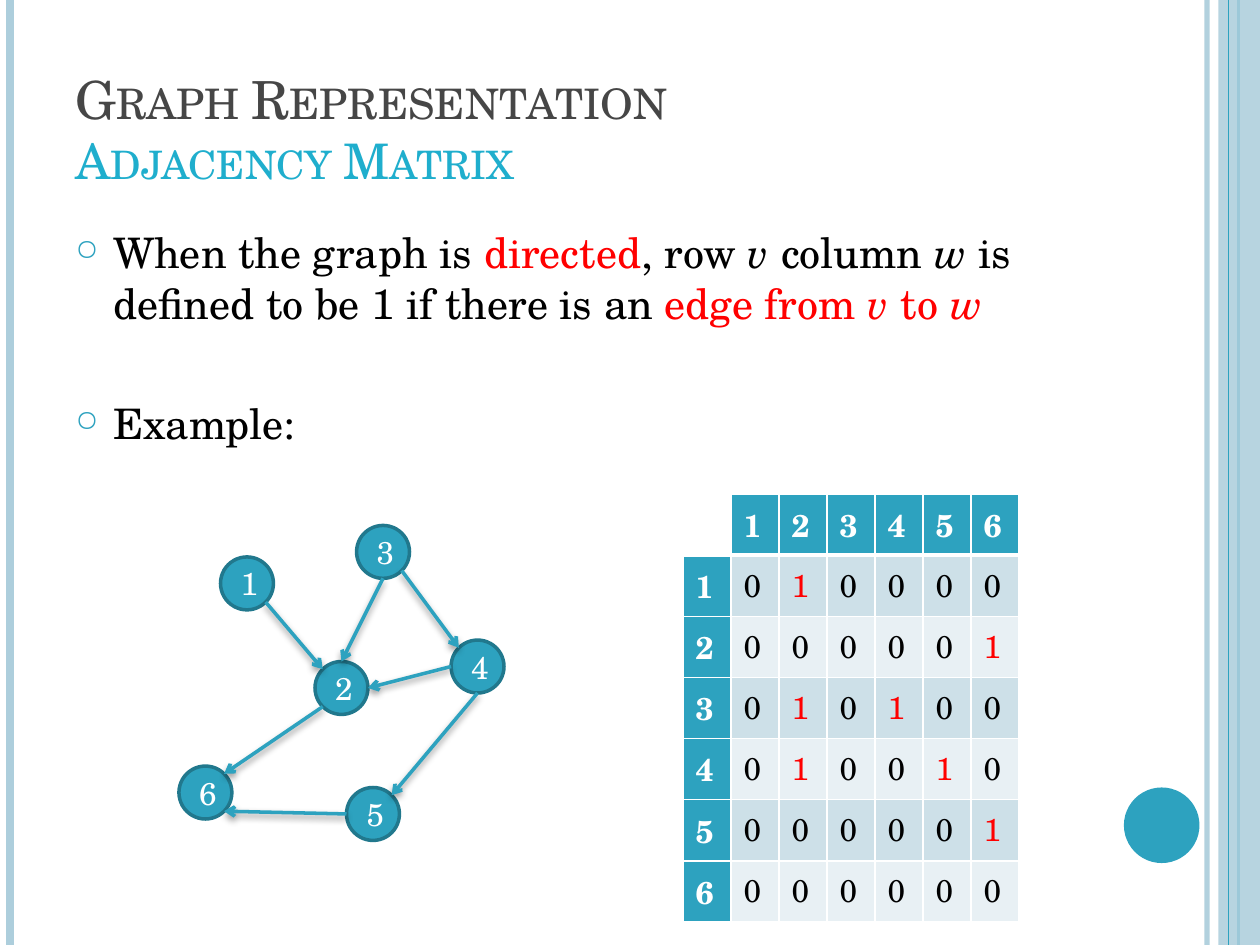
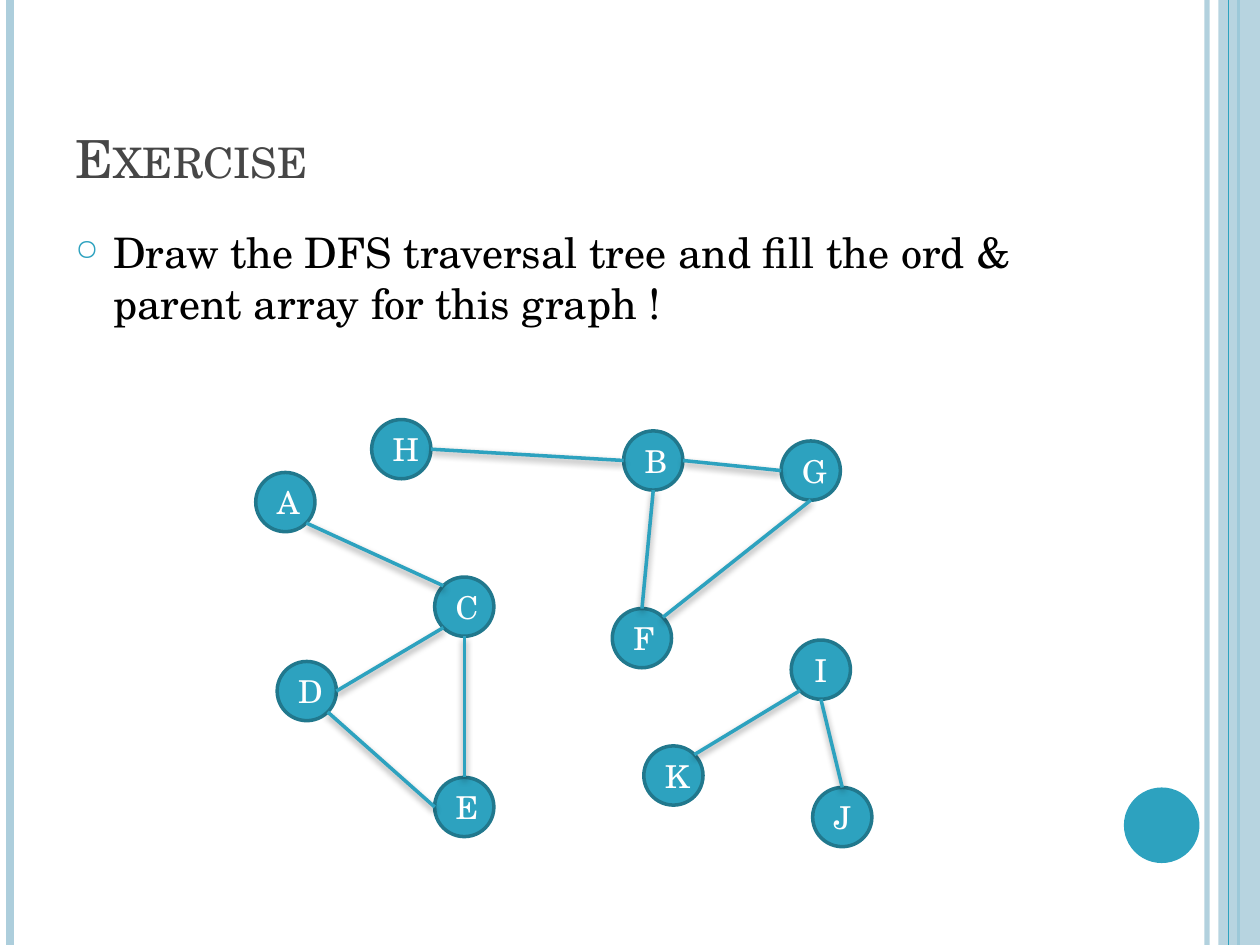
from math import cos, radians, sin

from lxml.etree import SubElement
from pptx import Presentation
from pptx.dml.color import RGBColor
from pptx.enum.shapes import MSO_CONNECTOR, MSO_SHAPE
from pptx.enum.text import MSO_ANCHOR, PP_ALIGN
from pptx.oxml.ns import qn
from pptx.util import Inches, Pt

# Colours and font
TEAL = RGBColor(0x2D, 0xA2, 0xBF)
DEEP = RGBColor(0x21, 0x78, 0x8D)
PALE = RGBColor(0xAD, 0xCE, 0xDC)
SKY = RGBColor(0x1F, 0xAE, 0xCD)
GREY = RGBColor(0x46, 0x46, 0x46)
ODD = RGBColor(0xCD, 0xE0, 0xE8)
EVEN = RGBColor(0xE8, 0xF0, 0xF4)
RED = RGBColor(0xFF, 0x00, 0x00)
BLACK = RGBColor(0x00, 0x00, 0x00)
WHITE = RGBColor(0xFF, 0xFF, 0xFF)
FONT = "TeX Gyre Schola"

# Directions on a node's rim, clockwise from east in degrees
RIM = {"E": 0, "SE": 45, "S": 90, "SW": 135,
       "W": 180, "NW": 225, "N": 270, "NE": 315}

# Directed graph: node corners, then edges as (from, side, to, side)
ARC_SIZE = 0.42
ARC_NODES = {"1": (1.75, 4.42), "2": (2.5, 5.25), "3": (2.83, 4.17),
             "4": (3.58, 5.08), "5": (2.75, 6.25), "6": (1.42, 6.08)}
ARCS = [("1", "SE", "2", "NW"), ("3", "S", "2", "N"),
        ("2", "SW", "6", "NE"), ("4", "W", "2", "E"),
        ("3", "SE", "4", "NW"), ("5", "W", "6", "SE"),
        ("4", "S", "5", "NE")]

# Undirected graph of the exercise
TREE_SIZE = 0.47
TREE_NODES = {"A": (2.03, 3.75), "B": (4.95, 3.42), "C": (3.45, 4.58),
              "D": (2.2, 5.25), "E": (3.45, 6.17), "F": (4.86, 4.83),
              "G": (6.2, 3.5), "H": (2.95, 3.33), "I": (6.28, 5.08),
              "J": (6.45, 6.25), "K": (5.11, 5.92)}
LINKS = [("D", "SE", "E", "W"), ("K", "NE", "I", "SW"),
         ("A", "SE", "C", "NW"), ("D", "E", "C", "SW"),
         ("E", "N", "C", "S"), ("H", "E", "B", "W"),
         ("G", "W", "B", "E"), ("F", "N", "B", "S"),
         ("F", "NE", "G", "S"), ("J", "N", "I", "S")]


def add_tag(parent, name, **attrs):
    return SubElement(parent, qn(name), attrs)


def add_run(para, text, size, color, bold=False, slant=False, caps=False):
    run = para.add_run()
    run.text = text
    font = run.font
    font.name, font.size = FONT, Pt(size)
    font.bold, font.italic = bold, slant
    font.color.rgb = color
    if caps:
        font._element.set("cap", "small")


def set_alpha(shape, percent):
    for color in shape.element.spPr.iter(qn("a:srgbClr")):
        add_tag(color, "a:alpha", val=str(percent * 1000))


def add_line(shapes, start, end, color, width):
    ends = [Inches(v) for v in (*start, *end)]
    line = shapes.add_connector(MSO_CONNECTOR.STRAIGHT, *ends)
    line.line.color.rgb = color
    line.line.width = Pt(width)
    add_tag(line.element.spPr, "a:effectLst")
    return line


def add_solid(shapes, kind, box, color):
    shape = shapes.add_shape(kind, *[Inches(v) for v in box])
    shape.shadow.inherit = False
    shape.fill.solid()
    shape.fill.fore_color.rgb = color
    shape.line.fill.background()
    return shape


# Side bands and disc shared by the slides
def add_bands(shapes):
    def rule(x, color, width):
        return add_line(shapes, (x, 0), (x, 7.5), color, width)

    set_alpha(rule(9.58, PALE, 3), 93)
    rule(0.08, PALE, 4.5)
    rule(9.83, TEAL, 1.5)
    band = add_solid(shapes, MSO_SHAPE.RECTANGLE, (9.67, 0, 0.33, 7.5), PALE)
    set_alpha(band, 87)
    rule(9.75, TEAL, 0.75)
    add_solid(shapes, MSO_SHAPE.OVAL, (8.92, 6.25, 0.6, 0.6), TEAL)


def add_box(shapes, top, height):
    box = shapes.add_textbox(Inches(0.5), Inches(top),
                             Inches(8.17), Inches(height))
    box.text_frame.word_wrap = True
    return box.text_frame


def add_title(shapes, text, sub=None):
    frame = add_box(shapes, 0.3, 1.25)
    frame.vertical_anchor = MSO_ANCHOR.BOTTOM
    para = frame.paragraphs[0]
    add_run(para, text, 30, GREY, caps=True)
    if sub:
        para.add_line_break()
        add_run(para, sub, 28, SKY, caps=True)


# Bulleted text: each item is (space before, runs)
def add_body(shapes, height, items):
    frame = add_box(shapes, 1.75, height)
    for i, (space, runs) in enumerate(items):
        para = frame.add_paragraph() if i else frame.paragraphs[0]
        para.space_before = Pt(space)
        props = para._p.get_or_add_pPr()
        props.set("marL", str(Inches(0.3)))
        props.set("indent", str(Inches(-0.3)))
        tint = add_tag(props, "a:buClr")
        add_tag(tint, "a:srgbClr", val=str(TEAL))
        add_tag(props, "a:buSzPct", val="70000")
        add_tag(props, "a:buChar", char="○")
        for text, color, slant in runs:
            add_run(para, text, 24, color, slant=slant)


# Graph parts
def add_node(shapes, name, spot, size):
    node = add_solid(shapes, MSO_SHAPE.OVAL, (*spot, size, size), TEAL)
    node.line.color.rgb = DEEP
    node.line.width = Pt(2)
    frame = node.text_frame
    frame.vertical_anchor = MSO_ANCHOR.MIDDLE
    para = frame.paragraphs[0]
    para.alignment = PP_ALIGN.CENTER
    add_run(para, name, 18, WHITE)


def rim_point(spot, size, side):
    turn, half = radians(RIM[side]), size / 2
    return (spot[0] + half + half * cos(turn),
            spot[1] + half + half * sin(turn))


def add_edge(shapes, start, end, arrow):
    line = add_line(shapes, start, end, TEAL, 2)
    if arrow:
        add_tag(line.element.spPr.find(qn("a:ln")), "a:tailEnd", type="arrow")
    glow = add_tag(line.element.spPr.find(qn("a:effectLst")), "a:outerShdw",
                   blurRad=str(Pt(4)), dist=str(Pt(2)), dir="5400000",
                   rotWithShape="0")
    tint = add_tag(glow, "a:srgbClr", val=str(BLACK))
    add_tag(tint, "a:alpha", val="40000")


def add_graph(shapes, nodes, edges, size, arrow=False):
    for name, spot in nodes.items():
        add_node(shapes, name, spot, size)
    for tail, out, head, into in edges:
        add_edge(shapes, rim_point(nodes[tail], size, out),
                 rim_point(nodes[head], size, into), arrow)


# Adjacency matrix
def set_cell(cell, text, fill, color, bold, row):
    props = cell._tc.get_or_add_tcPr()
    thick = {0: "a:lnB", 1: "a:lnT"}.get(row)
    for side in ("a:lnL", "a:lnR", "a:lnT", "a:lnB"):
        width = Pt(3 if side == thick else 1)
        edge = add_tag(props, side, w=str(width))
        paint = add_tag(edge, "a:solidFill")
        add_tag(paint, "a:srgbClr", val=str(WHITE))
    cell.fill.solid()
    cell.fill.fore_color.rgb = fill
    if text:
        add_run(cell.text_frame.paragraphs[0], text, 18, color, bold)


def add_matrix(shapes, names, arcs):
    count = len(names) + 1
    frame = shapes.add_table(count, count, Inches(5.42), Inches(3.92),
                             Inches(2.67), Inches(3.4))
    table = frame.table
    table.first_row = table.horz_banding = False
    pairs = {(tail, head) for tail, _, head, _ in arcs}
    heads = ["", *names]
    for r, tail in enumerate(heads):
        for c, head in enumerate(heads):
            cell = table.cell(r, c)
            if r and c:
                linked = (tail, head) in pairs
                set_cell(cell, "1" if linked else "0", ODD if r % 2 else EVEN,
                         RED if linked else BLACK, False, r)
            else:
                name = tail or head
                set_cell(cell, name, TEAL if name else WHITE, WHITE, True, r)


def add_slide(deck):
    slide = deck.slides.add_slide(deck.slide_layouts[6])
    add_bands(slide.shapes)
    return slide.shapes


def main():
    deck = Presentation()
    deck.slide_width, deck.slide_height = Inches(10), Inches(7.5)

    # Adjacency matrix slide
    shapes = add_slide(deck)
    add_body(shapes, 5.33, [
        (6, [("When the graph is ", BLACK, False), ("directed", RED, False),
             (", row ", BLACK, False), ("v", BLACK, True),
             (" column ", BLACK, False), ("w", BLACK, True),
             (" is defined to be 1 if there is an ", BLACK, False),
             ("edge from ", RED, False), ("v", RED, True),
             (" to ", RED, False), ("w", RED, True)]),
        (40, [("Example:", BLACK, False)])])
    add_title(shapes, "Graph Representation", "Adjacency Matrix")
    group = shapes.add_group_shape()
    add_graph(group.shapes, ARC_NODES, ARCS, ARC_SIZE, arrow=True)
    add_matrix(shapes, ARC_NODES, ARCS)

    # Exercise slide
    shapes = add_slide(deck)
    add_title(shapes, "Exercise")
    add_body(shapes, 1, [
        (6, [("Draw the DFS traversal tree and fill the ord & parent array "
              "for this graph !", BLACK, False)])])
    add_graph(shapes, TREE_NODES, LINKS, TREE_SIZE)

    deck.save("out.pptx")


if __name__ == "__main__":
    main()
